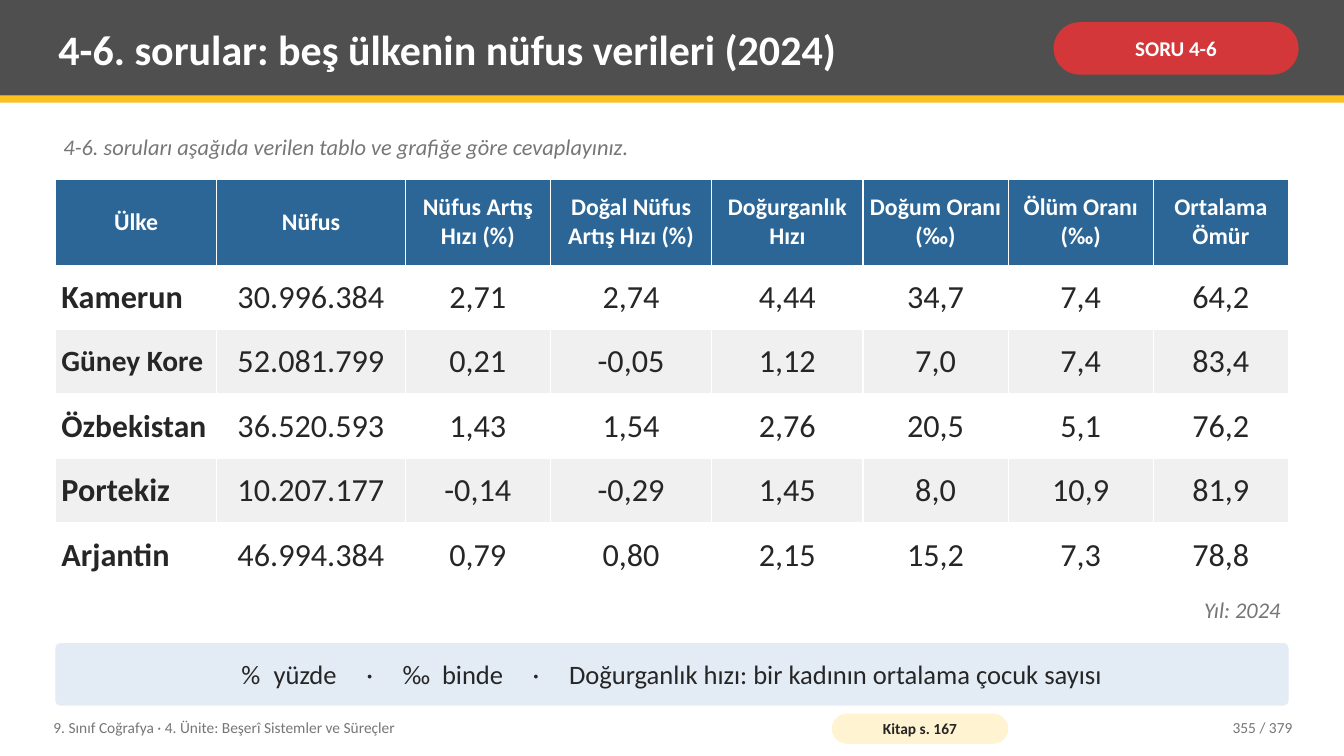
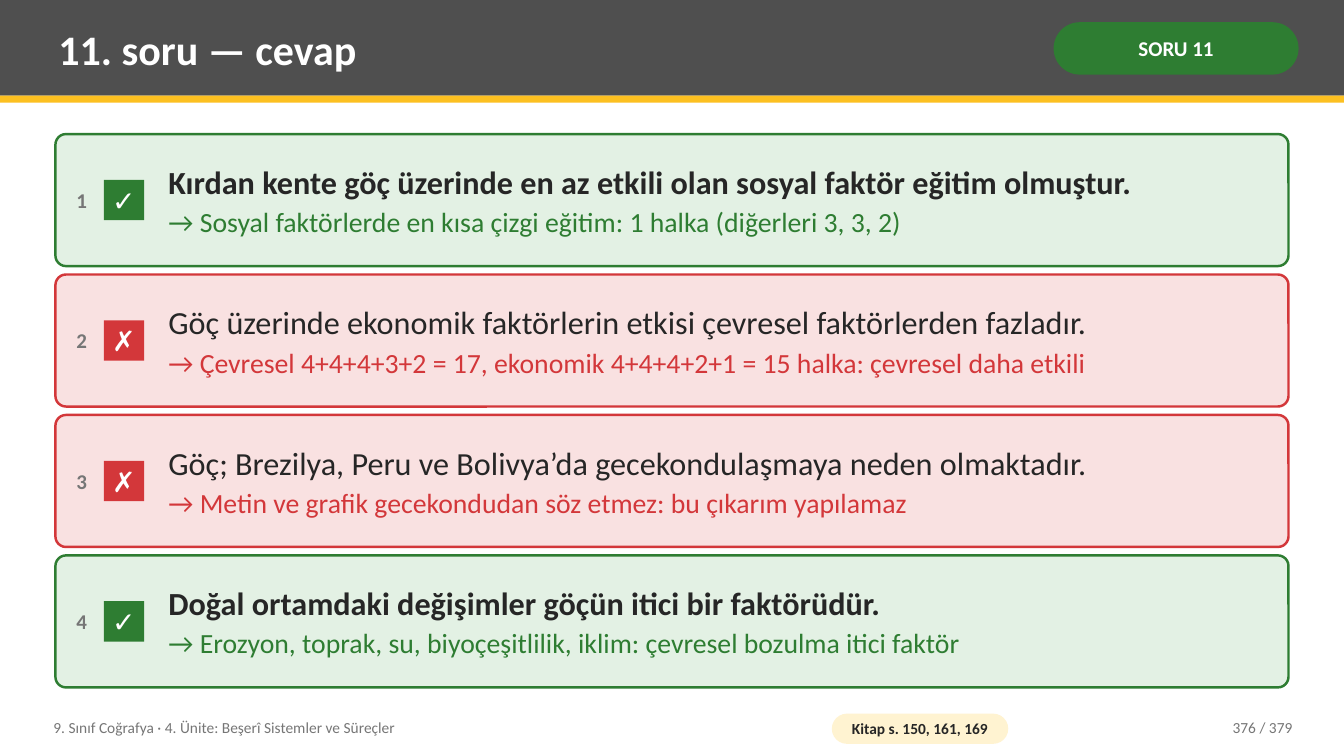
from dataclasses import dataclass
from typing import Any, NamedTuple

from lxml import etree
from pptx import Presentation, util as u
from pptx.dml.color import RGBColor
from pptx.enum import shapes, text
from pptx.oxml import ns


@dataclass(frozen=True)
class Theme:
    font: str = "Calibri"
    dark: str = "4F4F4F"
    gold: str = "FCC021"
    cream: str = "FFF3D1"
    white: str = "FFFFFF"
    ink: str = "262626"
    gray: str = "767676"
    stripe: str = "F0F0F0"
    blue: str = "2C6696"
    sky: str = "E3ECF5"
    red: str = "D3373A"
    rose: str = "F9E1E1"
    green: str = "2E7D32"
    mint: str = "E3F1E4"
    title: float = 30
    body: float = 23
    reason: float = 19.8
    legend: float = 19
    mark: float = 20
    head: float = 17
    note: float = 16
    label: float = 15
    small: float = 11


T = Theme()
LEFT = text.PP_ALIGN.LEFT
MID = text.PP_ALIGN.CENTER
RIGHT = text.PP_ALIGN.RIGHT
RECT = shapes.MSO_SHAPE.RECTANGLE
ROUND = shapes.MSO_SHAPE.ROUNDED_RECTANGLE
EDGE, WIDE = 0.55, 12.23


class Box(NamedTuple):
    x: float
    y: float
    w: float
    h: float

    def emu(self) -> list[u.Length]:
        return [u.Inches(v) for v in self]


@dataclass(frozen=True)
class Run:
    words: str
    size: float
    color: str = T.ink
    bold: bool = False
    slant: bool = False


@dataclass(frozen=True)
class Page:
    title: str
    tag: str
    color: str
    book: str
    num: int


@dataclass(frozen=True)
class Claim:
    words: str
    reason: str
    true: bool


@dataclass(frozen=True)
class Land:
    name: str
    data: str
    size: float = T.body


PAD = (0.08, 0.04)


def add_run(par: Any, item: Run) -> None:
    run = par.add_run()
    run.text = item.words
    font = run.font
    font.name, font.size = T.font, u.Pt(item.size)
    font.bold, font.italic = item.bold, item.slant
    font.color.rgb = RGBColor.from_string(item.color)


def write(shape: Any, runs: list[Run], align: Any = LEFT,
          pad: tuple[float, float] = PAD, top: bool = False) -> None:
    frame = shape.text_frame
    frame.word_wrap = True
    frame.margin_left = frame.margin_right = u.Inches(pad[0])
    frame.margin_top = frame.margin_bottom = u.Inches(pad[1])
    frame.vertical_anchor = text.MSO_ANCHOR.TOP if top else text.MSO_ANCHOR.MIDDLE
    for i, item in enumerate(runs):
        par = frame.add_paragraph() if i else frame.paragraphs[0]
        par.alignment = align
        if i < len(runs) - 1:
            par.space_after = u.Pt(3)
        add_run(par, item)


def add_text(slide: Any, box: Box, runs: list[Run], align: Any = LEFT,
             pad: tuple[float, float] = PAD, top: bool = False) -> None:
    write(slide.shapes.add_textbox(*box.emu()), runs, align, pad, top)


def add_form(slide: Any, box: Box, fill: str, bend: float = 0, line: str = "") -> Any:
    form = slide.shapes.add_shape(ROUND if bend else RECT, *box.emu())
    form.shadow.inherit = False
    form.fill.solid()
    form.fill.fore_color.rgb = RGBColor.from_string(fill)
    if bend:
        form.adjustments[0] = bend
    if line:
        form.line.color.rgb = RGBColor.from_string(line)
        form.line.width = u.Pt(1.75)
    else:
        form.line.fill.background()
    return form


def add_page(deck: Any, page: Page) -> Any:
    slide = deck.slides.add_slide(deck.slide_layouts[6])
    add_form(slide, Box(0, 0, 13.33, 0.95), T.dark)
    add_form(slide, Box(0, 0.95, 13.33, 0.07), T.gold)
    add_text(slide, Box(0.5, 0.07, 9.75, 0.82), [Run(page.title, T.title, T.white, True)])
    tag = add_form(slide, Box(10.45, 0.22, 2.43, 0.52), page.color, 0.5)
    write(tag, [Run(page.tag, T.label, T.white, True)], MID, (0.05, 0.02))
    add_text(slide, Box(0.45, 7.04, 7.6, 0.36),
             [Run("9. Sınıf Coğrafya · 4. Ünite: Beşerî Sistemler ve Süreçler", T.small, T.gray)])
    book = add_form(slide, Box(8.25, 7.08, 1.75, 0.3), T.cream, 0.5)
    write(book, [Run(f"Kitap s. {page.book}", T.small, T.ink, True)], MID, (0.04, 0))
    add_text(slide, Box(11.3, 7.04, 1.6, 0.36),
             [Run(f"{page.num} / 379", T.small, T.gray)], RIGHT)
    return slide


def fill_cell(cell: Any, item: Run, fill: str, align: Any) -> None:
    props = cell._tc.get_or_add_tcPr()
    for side in ("a:lnL", "a:lnR", "a:lnT", "a:lnB"):
        line = etree.SubElement(props, ns.qn(side), w=str(u.Pt(0.96)))
        solid = etree.SubElement(line, ns.qn("a:solidFill"))
        etree.SubElement(solid, ns.qn("a:srgbClr"), val=T.white)
    cell.fill.solid()
    cell.fill.fore_color.rgb = RGBColor.from_string(fill)
    cell.margin_left = cell.margin_right = u.Inches(0.06)
    cell.margin_top = cell.margin_bottom = u.Inches(0.05)
    cell.vertical_anchor = text.MSO_ANCHOR.MIDDLE
    par = cell.text_frame.paragraphs[0]
    par.alignment = align
    add_run(par, item)


HEADS = ["Ülke", "Nüfus", "Nüfus Artış Hızı (%)", "Doğal Nüfus Artış Hızı (%)",
         "Doğurganlık Hızı", "Doğum Oranı (‰)", "Ölüm Oranı (‰)", "Ortalama Ömür"]
COLS = [1.6, 1.87, 1.44, 1.6, 1.5, 1.44, 1.44, 1.34]
LANDS = [
    Land("Kamerun", "30.996.384 2,71 2,74 4,44 34,7 7,4 64,2"),
    Land("Güney Kore", "52.081.799 0,21 -0,05 1,12 7,0 7,4 83,4", 21),
    Land("Özbekistan", "36.520.593 1,43 1,54 2,76 20,5 5,1 76,2", 22.5),
    Land("Portekiz", "10.207.177 -0,14 -0,29 1,45 8,0 10,9 81,9"),
    Land("Arjantin", "46.994.384 0,79 0,80 2,15 15,2 7,3 78,8"),
]


def add_grid(slide: Any) -> None:
    frame = slide.shapes.add_table(len(LANDS) + 1, len(COLS),
                                   *Box(EDGE, 1.78, WIDE, 4.05).emu())
    grid = frame.table
    grid.first_row = grid.horz_banding = False
    for col, wide in zip(grid.columns, COLS):
        col.width = u.Inches(wide)
    for i, row in enumerate(grid.rows):
        row.height = u.Inches(0.64 if i else 0.85)
    for j, head in enumerate(HEADS):
        fill_cell(grid.cell(0, j), Run(head, T.head, T.white, True), T.blue, MID)
    for i, land in enumerate(LANDS, 1):
        fill = T.white if i % 2 else T.stripe
        fill_cell(grid.cell(i, 0), Run(land.name, land.size, T.ink, True), fill, LEFT)
        for j, value in enumerate(land.data.split(), 1):
            fill_cell(grid.cell(i, j), Run(value, T.body), fill, MID)


LEGEND = [("%", 1.69), ("yüzde", 2.01), ("·", 2.93), ("‰", 3.29), ("binde", 3.68),
          ("·", 4.58), ("Doğurganlık hızı: bir kadının ortalama çocuk sayısı", 4.94)]


def add_legend(slide: Any) -> None:
    panel = add_form(slide, Box(EDGE, 6.38, WIDE, 0.62), T.sky, 0.08)
    par = panel.text_frame.paragraphs[0]
    tabs = etree.SubElement(par._p.get_or_add_pPr(), ns.qn("a:tabLst"))
    for _, pos in LEGEND:
        etree.SubElement(tabs, ns.qn("a:tab"), pos=str(u.Inches(pos)), algn="l")
    words = "".join(f"\t{word}" for word, _ in LEGEND)
    write(panel, [Run(words, T.legend)], LEFT, (0.14, 0.08))


CLAIMS = [
    Claim("Kırdan kente göç üzerinde en az etkili olan sosyal faktör eğitim olmuştur.",
          "Sosyal faktörlerde en kısa çizgi eğitim: 1 halka (diğerleri 3, 3, 2)", True),
    Claim("Göç üzerinde ekonomik faktörlerin etkisi çevresel faktörlerden fazladır.",
          "Çevresel 4+4+4+3+2 = 17, ekonomik 4+4+4+2+1 = 15 halka: çevresel daha etkili", False),
    Claim("Göç; Brezilya, Peru ve Bolivya’da gecekondulaşmaya neden olmaktadır.",
          "Metin ve grafik gecekondudan söz etmez: bu çıkarım yapılamaz", False),
    Claim("Doğal ortamdaki değişimler göçün itici bir faktörüdür.",
          "Erozyon, toprak, su, biyoçeşitlilik, iklim: çevresel bozulma itici faktör", True),
]


def add_claim(slide: Any, num: int, y: float, tall: float, claim: Claim) -> None:
    tint, pale, mark = (T.green, T.mint, "✓") if claim.true else (T.red, T.rose, "✗")
    add_form(slide, Box(EDGE, y, WIDE, tall), pale, 0.08, tint)
    add_text(slide, Box(0.61, y, 0.4, tall),
             [Run(str(num), T.label, T.gray, True)], MID, (0, 0.04))
    side = 0.4
    badge = add_form(slide, Box(1.03, y + (tall - side) / 2, side, side), tint)
    write(badge, [Run(mark, T.mark, T.white, True)], MID, (0, 0))
    add_text(slide, Box(1.59, y, 11.11, tall),
             [Run(claim.words, T.body, T.ink, claim.true),
              Run(f"→ {claim.reason}", T.reason, tint)])


def add_data(deck: Any) -> None:
    slide = add_page(deck, Page("4-6. sorular: beş ülkenin nüfus verileri (2024)",
                                "SORU 4-6", T.red, "167", 355))
    add_text(slide, Box(EDGE, 1.28, WIDE, 0.4),
             [Run("4-6. soruları aşağıda verilen tablo ve grafiğe göre cevaplayınız.",
                  T.note, T.gray, slant=True)], top=True)
    add_grid(slide)
    add_text(slide, Box(EDGE, 5.87, WIDE, 0.38),
             [Run("Yıl: 2024", T.note, T.gray, slant=True)], RIGHT, top=True)
    add_legend(slide)


def add_answer(deck: Any) -> None:
    slide = add_page(deck, Page("11. soru — cevap", "SORU 11", T.green, "150, 161, 169", 376))
    top, end, tall = 1.33, 6.82, 1.31
    step = (end - top - tall) / (len(CLAIMS) - 1)
    for i, claim in enumerate(CLAIMS):
        add_claim(slide, i + 1, top + i * step, tall, claim)


def main() -> None:
    deck = Presentation()
    deck.slide_width, deck.slide_height = u.Inches(13.33), u.Inches(7.5)
    add_data(deck)
    add_answer(deck)
    deck.save("out.pptx")


if __name__ == "__main__":
    main()
